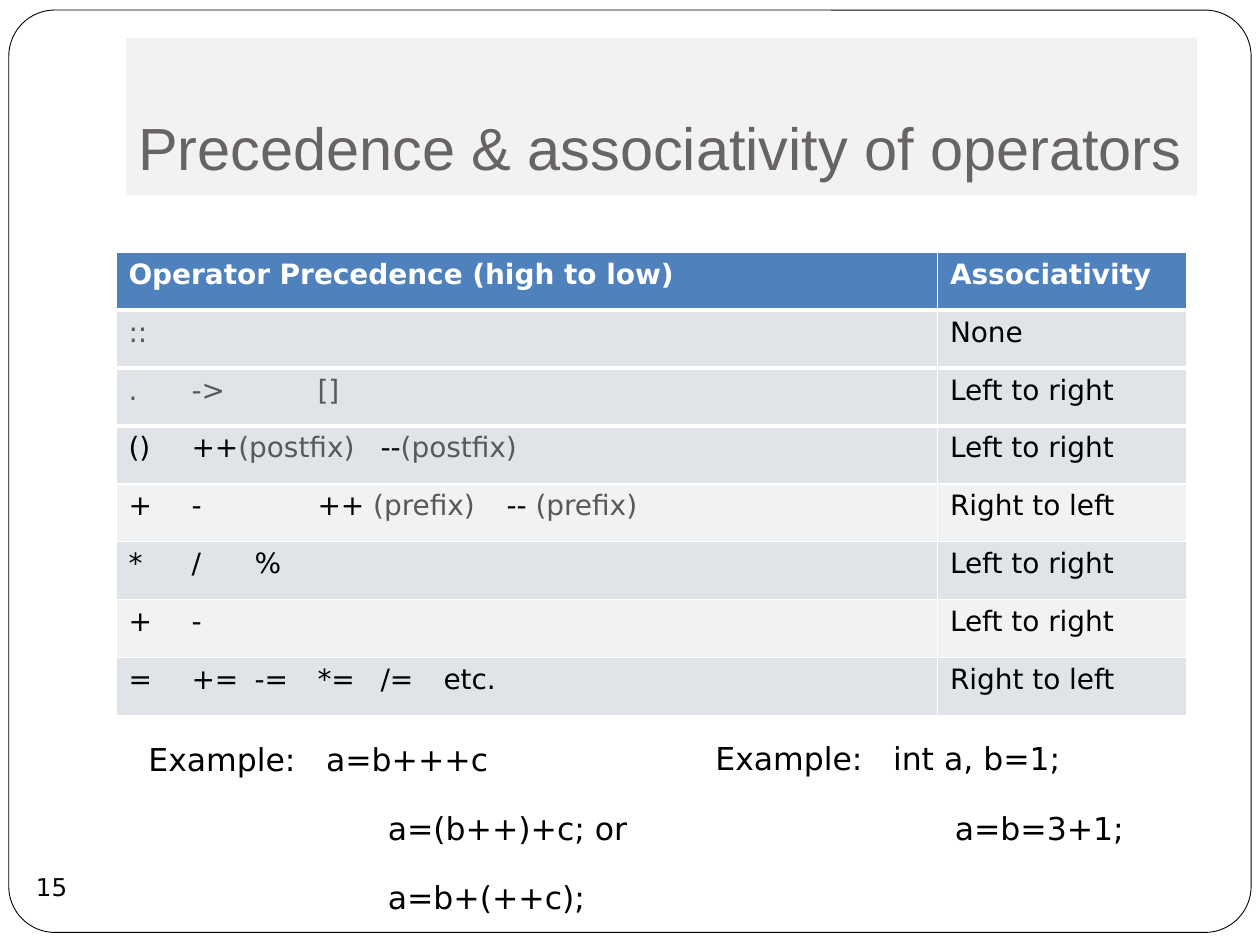
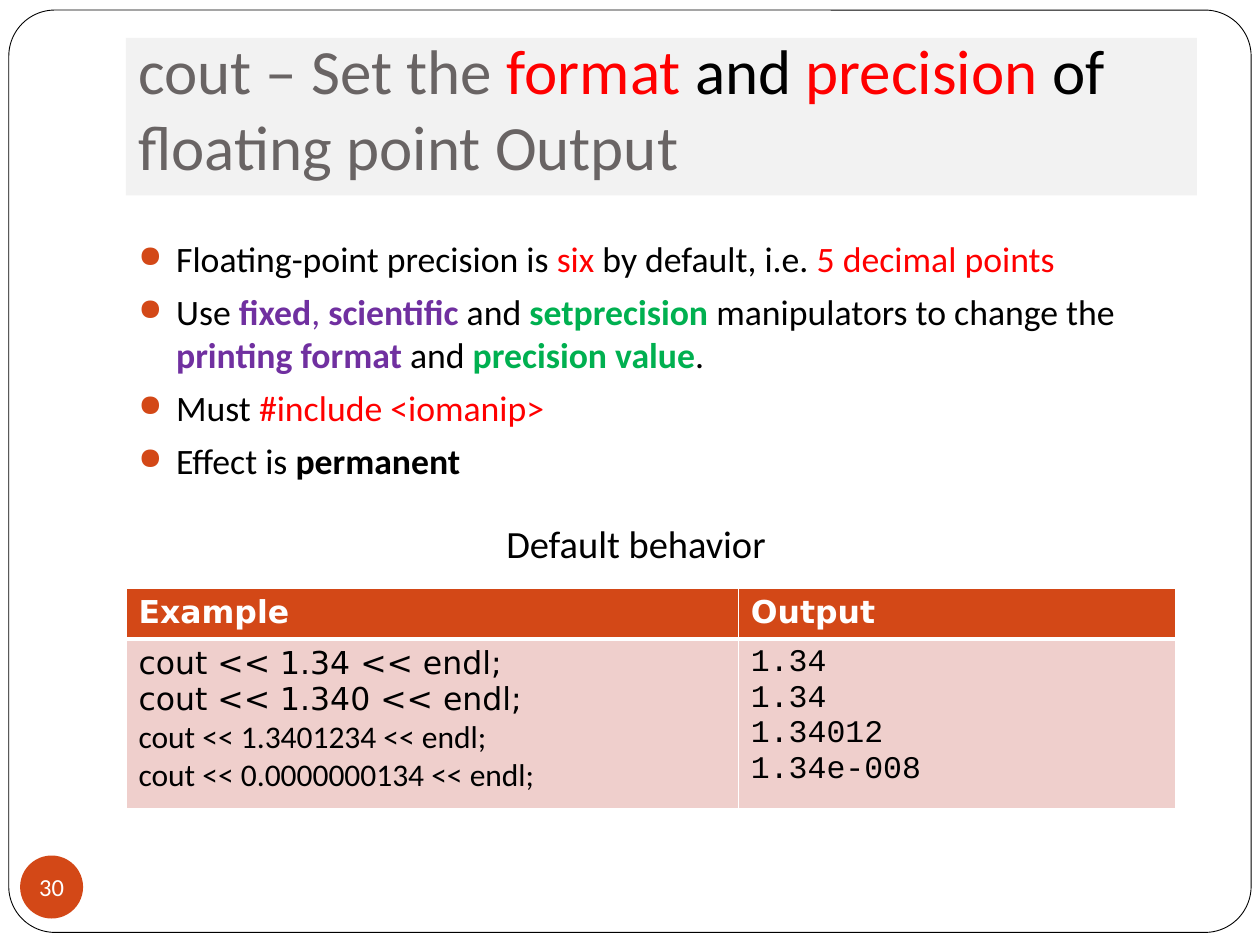
"""Build two lecture slides: operator precedence and floating point output."""
from dataclasses import dataclass
from typing import NamedTuple, Optional

from lxml import etree
from pptx import Presentation
from pptx import slide as sl
from pptx import table as tb
from pptx.dml.color import RGBColor
from pptx.enum import shapes, text
from pptx.oxml.ns import qn
from pptx.shapes import autoshape
from pptx.text import text as tx
from pptx.util import Inches, Pt

BLACK = RGBColor(0x00, 0x00, 0x00)
WHITE = RGBColor(0xFF, 0xFF, 0xFF)
BAND = RGBColor(0xF2, 0xF2, 0xF2)
TITLE_GRAY = RGBColor(0x69, 0x64, 0x64)
NOTE_GRAY = RGBColor(0x59, 0x59, 0x59)
BLUE = RGBColor(0x4F, 0x81, 0xBD)
ROW_DARK = RGBColor(0xE0, 0xE4, 0xE9)
ROW_LIGHT = RGBColor(0xF0, 0xF2, 0xF4)
ORANGE = RGBColor(0xD3, 0x48, 0x17)
ROW_PINK = RGBColor(0xEF, 0xCF, 0xCC)
RED = RGBColor(0xFF, 0x00, 0x00)
PURPLE = RGBColor(0x70, 0x30, 0xA0)
GREEN = RGBColor(0x00, 0xB0, 0x50)

SANS, CALIBRI, MONO, ARIAL = "DejaVu Sans", "Calibri", "Courier New", "Arial"
THIN, THICK = 1, 3


class Box(NamedTuple):
    """Position and size in inches."""
    left: float
    top: float
    width: float
    height: float


class Span(NamedTuple):
    """A piece of text with its own colour, weight or font."""
    text: str
    color: Optional[RGBColor] = None
    bold: bool = False
    font: Optional[str] = None


@dataclass(frozen=True)
class Style:
    """Default font of a block of text."""
    font: str
    size: float
    color: RGBColor = BLACK


@dataclass(frozen=True)
class Grid:
    """A table: its place, text style, header colour and row fills."""
    box: Box
    columns: tuple[float, ...]
    heights: tuple[float, ...]
    style: Style
    header_fill: RGBColor
    row_fills: tuple[RGBColor, ...]
    thick_rules: int


Line = tuple[Span, ...]

FRAME_BOX = Box(0.07, 0.08, 9.86, 7.32)
TITLE_BOX = Box(1, 0.3, 8.5, 1.25)
BADGE_BOX = Box(0.16, 6.79, 0.5, 0.5)

PRECEDENCE: list[tuple[Line, str]] = [
    ((Span("Operator Precedence (high to low)"),), "Associativity"),
    ((Span("::", NOTE_GRAY),), "None"),
    ((Span(".\t->\t\t[]", NOTE_GRAY),), "Left to right"),
    ((Span("()\t++"), Span("(postfix)", NOTE_GRAY),
      Span("\t--"), Span("(postfix)", NOTE_GRAY)), "Left to right"),
    ((Span("+\t-\t\t++ "), Span("(prefix)", NOTE_GRAY),
      Span("\t-- "), Span("(prefix)", NOTE_GRAY)), "Right to left"),
    ((Span("*\t/\t%"),), "Left to right"),
    ((Span("+\t-"),), "Left to right"),
    ((Span("=\t+=\t-=\t*=\t/=\tetc."),), "Right to left"),
]
PRECEDENCE_GRID = Grid(
    Box(0.92, 2, 8.5, 3.67), (6.52, 1.98), (0.46,) * len(PRECEDENCE),
    Style(SANS, 16), BLUE,
    (ROW_DARK, ROW_DARK, ROW_DARK, ROW_LIGHT, ROW_DARK, ROW_LIGHT, ROW_DARK), 3)

EXAMPLES: list[tuple[Box, list[str]]] = [
    (Box(5.58, 5.82, 3.83, 0.96), ["Example:\tint a, b=1;", "a=b=3+1;"]),
    (Box(1.08, 5.82, 5, 1.51),
     ["Example:\ta=b+++c", "a=(b++)+c; or", "a=b+(++c);"]),
]

BULLETS: list[Line] = [
    (Span("Floating-point precision is "), Span("six", RED),
     Span(" by default, i.e. "), Span("5 decimal points", RED)),
    (Span("Use "), Span("fixed", PURPLE, True), Span(", ", PURPLE),
     Span("scientific ", PURPLE, True), Span("and "),
     Span("setprecision ", GREEN, True), Span("manipulators to change the "),
     Span("printing format ", PURPLE, True), Span("and "),
     Span("precision value", GREEN, True), Span(".")),
    (Span("Must "), Span("#include <iomanip>", RED)),
    (Span("Effect is "), Span("permanent", bold=True)),
]

COUT_LINES: list[Line] = [
    (Span("cout << 1.34 << endl;"),),
    (Span("cout << 1.340 << endl;"),),
    (Span("cout << 1.3401234 << endl;", font=CALIBRI),),
    (Span("cout << 0.0000000134 << endl;", font=CALIBRI),),
]
OUTPUT_LINES: list[Line] = [
    (Span(value, font=MONO),) for value in ("1.34", "1.34", "1.34012", "1.34e-008")]
OUTPUT_GRID = Grid(Box(1, 4.67, 8.33, 1.75), (4.86, 3.47), (0.4, 1.35),
                   Style(SANS, 18), ORANGE, (ROW_PINK,), 1)


def place(box: Box) -> tuple[int, ...]:
    """Return the box as lengths."""
    return tuple(Inches(v) for v in box)


def write(tf: tx.TextFrame, lines: list[Line], style: Style,
          bold: bool = False) -> None:
    """Write one paragraph per line, formatting each span."""
    for i, line in enumerate(lines):
        p = tf.paragraphs[0] if i == 0 else tf.add_paragraph()
        for span in line:
            r = p.add_run()
            r.text = span.text
            r.font.name = span.font or style.font
            r.font.size = Pt(style.size)
            r.font.bold = bold or span.bold
            r.font.color.rgb = span.color or style.color


def add_shape(s: sl.Slide, kind: shapes.MSO_SHAPE, box: Box,
              fill: Optional[RGBColor]) -> autoshape.Shape:
    """Add a flat shape without an outline."""
    sp = s.shapes.add_shape(kind, *place(box))
    sp.shadow.inherit = False
    sp.line.fill.background()
    if fill is None:
        sp.fill.background()
    else:
        sp.fill.solid()
        sp.fill.fore_color.rgb = fill
    return sp


def add_textbox(s: sl.Slide, box: Box, wrap: bool = True) -> tx.TextFrame:
    """Add a text box and return its text frame."""
    tf = s.shapes.add_textbox(*place(box)).text_frame
    tf.word_wrap = wrap
    return tf


def add_base(prs: Presentation, title: Line, style: Style) -> sl.Slide:
    """Add a slide with the rounded frame and the title band."""
    s = prs.slides.add_slide(prs.slide_layouts[6])
    frame = add_shape(s, shapes.MSO_SHAPE.ROUNDED_RECTANGLE, FRAME_BOX, WHITE)
    frame.adjustments[0] = 0.05
    frame.line.color.rgb = BLACK
    frame.line.width = Pt(0.5)
    tf = add_shape(s, shapes.MSO_SHAPE.RECTANGLE, TITLE_BOX, BAND).text_frame
    tf.word_wrap = True
    tf.vertical_anchor = text.MSO_ANCHOR.BOTTOM
    tf.margin_bottom = Inches(0.1)
    write(tf, [title], style)
    tf.paragraphs[0].alignment = text.PP_ALIGN.LEFT
    return s


def add_badge(s: sl.Slide, number: str, style: Style,
              fill: Optional[RGBColor] = None) -> None:
    """Add the round page number."""
    tf = add_shape(s, shapes.MSO_SHAPE.OVAL, BADGE_BOX, fill).text_frame
    tf.margin_left = tf.margin_top = tf.margin_right = tf.margin_bottom = 0
    tf.word_wrap = False
    tf.vertical_anchor = text.MSO_ANCHOR.MIDDLE
    write(tf, [(Span(number),)], style)
    tf.paragraphs[0].alignment = text.PP_ALIGN.CENTER


def set_borders(cell: tb._Cell, top: int, bottom: int) -> None:
    """Give a cell white borders of the given widths in points."""
    tcPr = cell._tc.get_or_add_tcPr()
    for side, width in (("L", THIN), ("R", THIN), ("T", top), ("B", bottom)):
        ln = etree.SubElement(tcPr, qn(f"a:ln{side}"), w=str(Pt(width)))
        fill = etree.SubElement(ln, qn("a:solidFill"))
        etree.SubElement(fill, qn("a:srgbClr"), val=str(WHITE))


def add_grid(s: sl.Slide, grid: Grid, rows: list[tuple[list[Line], ...]]) -> None:
    """Add a table with a header row and coloured body rows."""
    table = s.shapes.add_table(len(rows), len(grid.columns), *place(grid.box)).table
    table.horz_banding = False
    for column, width in zip(table.columns, grid.columns):
        column.width = Inches(width)
    header = Style(grid.style.font, grid.style.size, WHITE)
    fills = (grid.header_fill, *grid.row_fills)
    for i, (row, height) in enumerate(zip(rows, grid.heights)):
        table.rows[i].height = Inches(height)
        top = THICK if 0 < i <= grid.thick_rules else THIN
        bottom = THICK if i < grid.thick_rules else THIN
        for cell, lines in zip(table.rows[i].cells, row):
            set_borders(cell, top, bottom)
            cell.fill.solid()
            cell.fill.fore_color.rgb = fills[i]
            write(cell.text_frame, lines, header if i == 0 else grid.style, i == 0)


def add_example(s: sl.Slide, box: Box, lines: list[str]) -> None:
    """Add an example whose later lines are indented under the first."""
    tf = add_textbox(s, box)
    write(tf, [(Span(line),) for line in lines], Style(SANS, 18))
    for i, p in enumerate(tf.paragraphs):
        p.space_after = Pt(18)
        pPr = p._p.get_or_add_pPr()
        if i == 0:
            tabs = etree.SubElement(pPr, qn("a:tabLst"))
            etree.SubElement(tabs, qn("a:tab"), pos=str(Inches(1.41)), algn="l")
        else:
            pPr.set("marL", str(Inches(1.9)))


def add_bullets(s: sl.Slide, box: Box, lines: list[Line], style: Style) -> None:
    """Add a list with orange round bullets."""
    tf = add_textbox(s, box)
    write(tf, lines, style)
    for p in tf.paragraphs:
        p.space_before = Pt(5.8)
        pPr = p._p.get_or_add_pPr()
        pPr.set("marL", str(Inches(0.3)))
        pPr.set("indent", str(-Inches(0.3)))
        color = etree.SubElement(pPr, qn("a:buClr"))
        etree.SubElement(color, qn("a:srgbClr"), val=str(ORANGE))
        etree.SubElement(pPr, qn("a:buSzPct"), val="85000")
        etree.SubElement(pPr, qn("a:buChar"), char="●")


def build_precedence(prs: Presentation) -> None:
    """Build the operator precedence slide."""
    s = add_base(prs, (Span("Precedence & associativity of operators"),),
                 Style(ARIAL, 34, TITLE_GRAY))
    add_badge(s, "15", Style(SANS, 14))
    add_grid(s, PRECEDENCE_GRID,
             [([operators], [(Span(order),)]) for operators, order in PRECEDENCE])
    for box, lines in EXAMPLES:
        add_example(s, box, lines)


def build_output_format(prs: Presentation) -> None:
    """Build the floating point output slide."""
    title = (Span("cout – Set the "), Span("format ", RED), Span("and ", BLACK),
             Span("precision ", RED), Span("of ", BLACK),
             Span("floating point Output"))
    s = add_base(prs, title, Style(CALIBRI, 36, TITLE_GRAY))
    add_badge(s, "30", Style(CALIBRI, 14, WHITE), ORANGE)
    add_bullets(s, Box(1, 1.83, 8.5, 2), BULLETS, Style(CALIBRI, 20.4))
    add_grid(s, OUTPUT_GRID, [([(Span("Example"),)], [(Span("Output"),)]),
                              (COUT_LINES, OUTPUT_LINES)])
    caption = add_textbox(s, Box(3.92, 4.08, 2.31, 0.47), wrap=False)
    write(caption, [(Span("Default behavior"),)], Style(CALIBRI, 22))


def main() -> None:
    """Build and save the slides."""
    prs = Presentation()
    prs.slide_width, prs.slide_height = Inches(10), Inches(7.5)
    build_precedence(prs)
    build_output_format(prs)
    prs.save("out.pptx")


if __name__ == "__main__":
    main()
